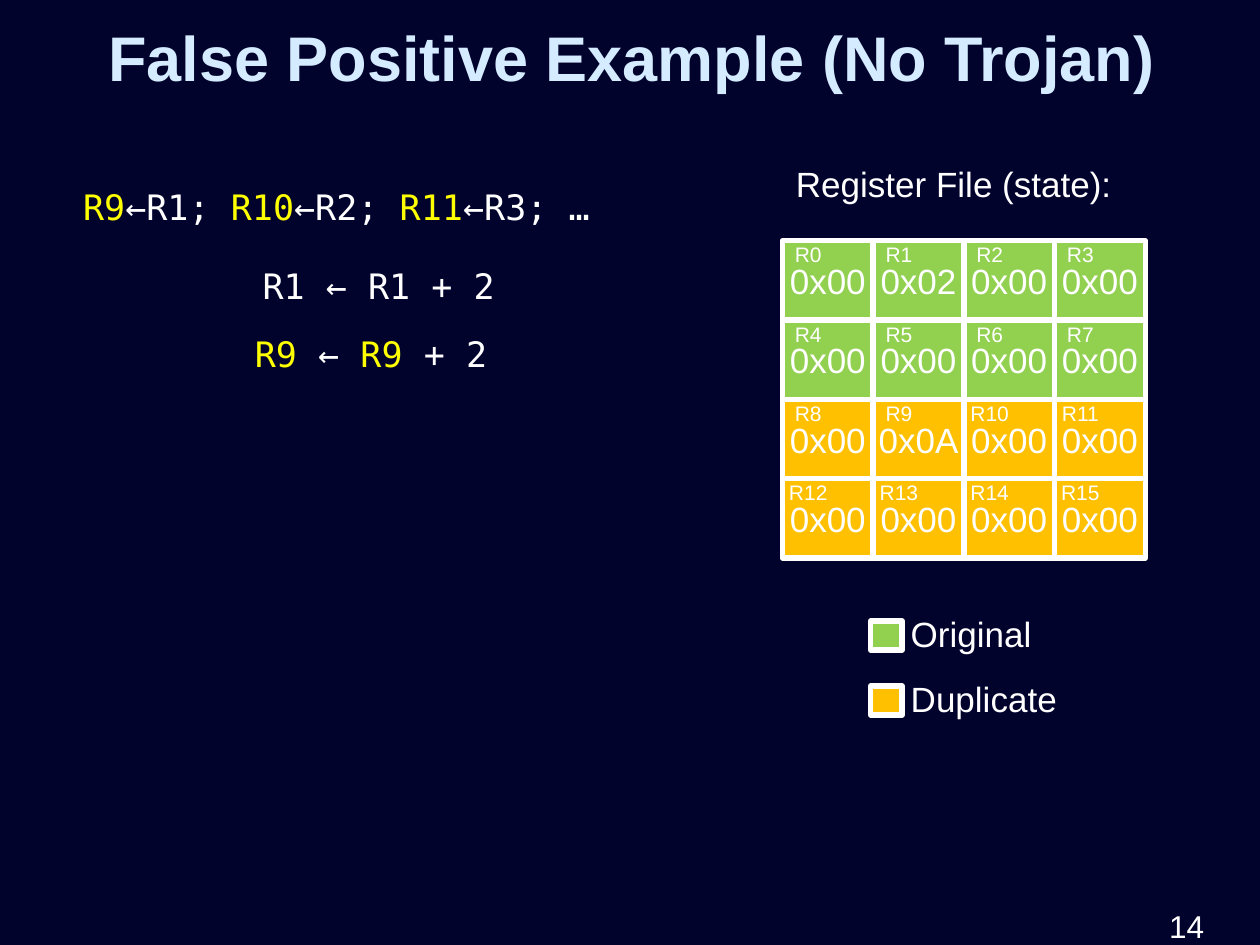
from dataclasses import dataclass

from pptx import Presentation
from pptx.dml import color
from pptx.enum import shapes, text
from pptx.util import Inches, Pt


@dataclass(frozen=True)
class Theme:
    """Colours, fonts and type sizes of the slide."""
    background: str = "01032D"
    heading: str = "D5EBFF"
    ink: str = "FFFFFF"
    accent: str = "FFFF00"
    original: str = "92D050"
    duplicate: str = "FFC000"
    sans: str = "Arial"
    mono: str = "DejaVu Sans Mono"
    title_size: int = 36
    body_size: int = 20
    number_size: int = 18
    label_size: int = 12


THEME = Theme()
CENTER = text.PP_ALIGN.CENTER
LEFT = text.PP_ALIGN.LEFT


def rgb(value):
    """Turn a hex string into a colour."""
    return color.RGBColor.from_string(value)


def write(shape, pieces, size=THEME.body_size, font=THEME.sans, align=CENTER,
          bold=False, wrap=True, spacing=None):
    """Fill a shape with one paragraph made of (words, colour) pieces."""
    frame = shape.text_frame
    frame.word_wrap = wrap
    para = frame.paragraphs[0]
    para.alignment = align
    if spacing:
        para.line_spacing = spacing
    for words, ink in pieces:
        span = para.add_run()
        span.text = words
        span.font.size = Pt(size)
        span.font.name = font
        span.font.bold = bold
        span.font.color.rgb = rgb(ink)
    return frame


def add_text(parent, box, pieces, **style):
    """Place a text box; box is left, top, width, height in inches."""
    shape = parent.shapes.add_textbox(*map(Inches, box))
    return write(shape, pieces, **style)


def add_tile(parent, box, fill):
    """Place a filled rectangle with a heavy white outline."""
    tile = parent.shapes.add_shape(shapes.MSO_SHAPE.RECTANGLE, *map(Inches, box))
    tile.shadow.inherit = False
    tile.fill.solid()
    tile.fill.fore_color.rgb = rgb(fill)
    tile.line.color.rgb = rgb(THEME.ink)
    tile.line.width = Pt(3)
    return tile


def add_title(page, box, words):
    """Place the slide heading."""
    frame = add_text(page, box, [(words, THEME.heading)],
                     size=THEME.title_size, bold=True)
    frame.vertical_anchor = text.MSO_ANCHOR.MIDDLE


def add_code(page, lines):
    """Place the instruction lines, each with its own box."""
    for box, pieces in lines:
        add_text(page, box, pieces, font=THEME.mono, wrap=False, spacing=1.5)


def add_register_file(page, box, values, columns=4):
    """Draw the register grid, the upper half original and the lower duplicate."""
    left, top, width, height = box
    cell_width = width / columns
    cell_height = height * columns / len(values)
    group = page.shapes.add_group_shape()
    for index, value in enumerate(values):
        row, column = divmod(index, columns)
        x = left + column * cell_width
        y = top + row * cell_height
        fill = THEME.original if index < len(values) / 2 else THEME.duplicate
        cell = add_tile(group, (x, y, cell_width, cell_height), fill)
        frame = write(cell, [(value, THEME.ink)], wrap=False)
        frame.vertical_anchor = text.MSO_ANCHOR.MIDDLE
        add_text(group, (x - 0.06, y - 0.04, 0.53, 0.3),
                 [(f"R{index}", THEME.ink)], size=THEME.label_size)


def add_legend(page, box, entries):
    """Draw a colour key, one entry per row."""
    left, top, width, height = box
    pitch = height / len(entries)
    group = page.shapes.add_group_shape()
    for row, (words, fill) in enumerate(entries):
        y = top + row * pitch
        add_tile(group, (left, y + 0.12, 0.25, 0.23), fill)
        add_text(group, (left + 0.22, y, width - 0.22, 0.44),
                 [(words, THEME.ink)], align=LEFT, wrap=False)


def add_page_number(page, box, number):
    """Place the page number near the bottom right corner."""
    add_text(page, box, [(str(number), THEME.ink)],
             size=THEME.number_size, align=LEFT)


def build_slide(deck):
    """Compose the slide from its regions."""
    page = deck.slides.add_slide(deck.slide_layouts[6])
    page.background.fill.solid()
    page.background.fill.fore_color.rgb = rgb(THEME.background)
    ink, accent = THEME.ink, THEME.accent

    add_title(page, (0.11, 0.09, 9.81, 0.71), "False Positive Example (No Trojan)")
    add_code(page, [
        ((0.13, 1.26, 5.08, 0.55),
         [("R9", accent), ("←R1; ", ink), ("R10", accent), ("←R2; ", ink),
          ("R11", accent), ("←R3; …", ink)]),
        ((1.98, 1.88, 2.05, 0.55), [("R1 ← R1 + 2", ink)]),
        ((0.43, 2.42, 5.03, 0.73),
         [("R9 ", accent), ("←", ink), (" R9 ", accent), ("+ 2", ink)]),
    ])
    add_text(page, (5.07, 1.07, 5, 0.55), [("Register File (state):", ink)],
             spacing=1.5)
    values = ["0x00"] * 16
    values[1], values[9] = "0x02", "0x0A"
    add_register_file(page, (6.21, 1.91, 2.88, 2.52), values)
    add_legend(page, (6.91, 4.81, 1.58, 1.03),
               [("Original", THEME.original), ("Duplicate", THEME.duplicate)])
    add_page_number(page, (9.18, 7.15, 0.82, 0.35), 14)


deck = Presentation()
deck.slide_width, deck.slide_height = Inches(10), Inches(7.5)
build_slide(deck)
deck.save("out.pptx")
